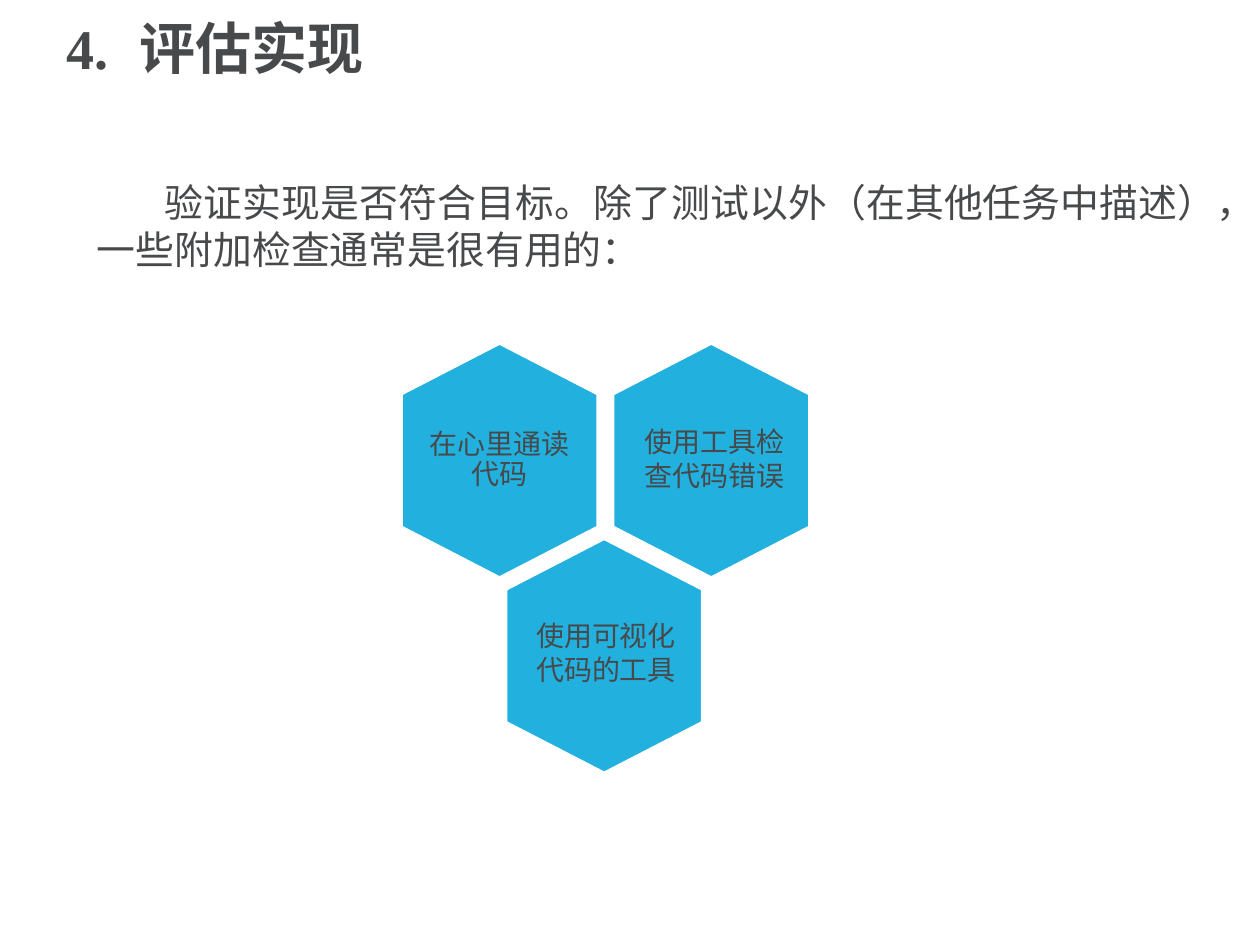
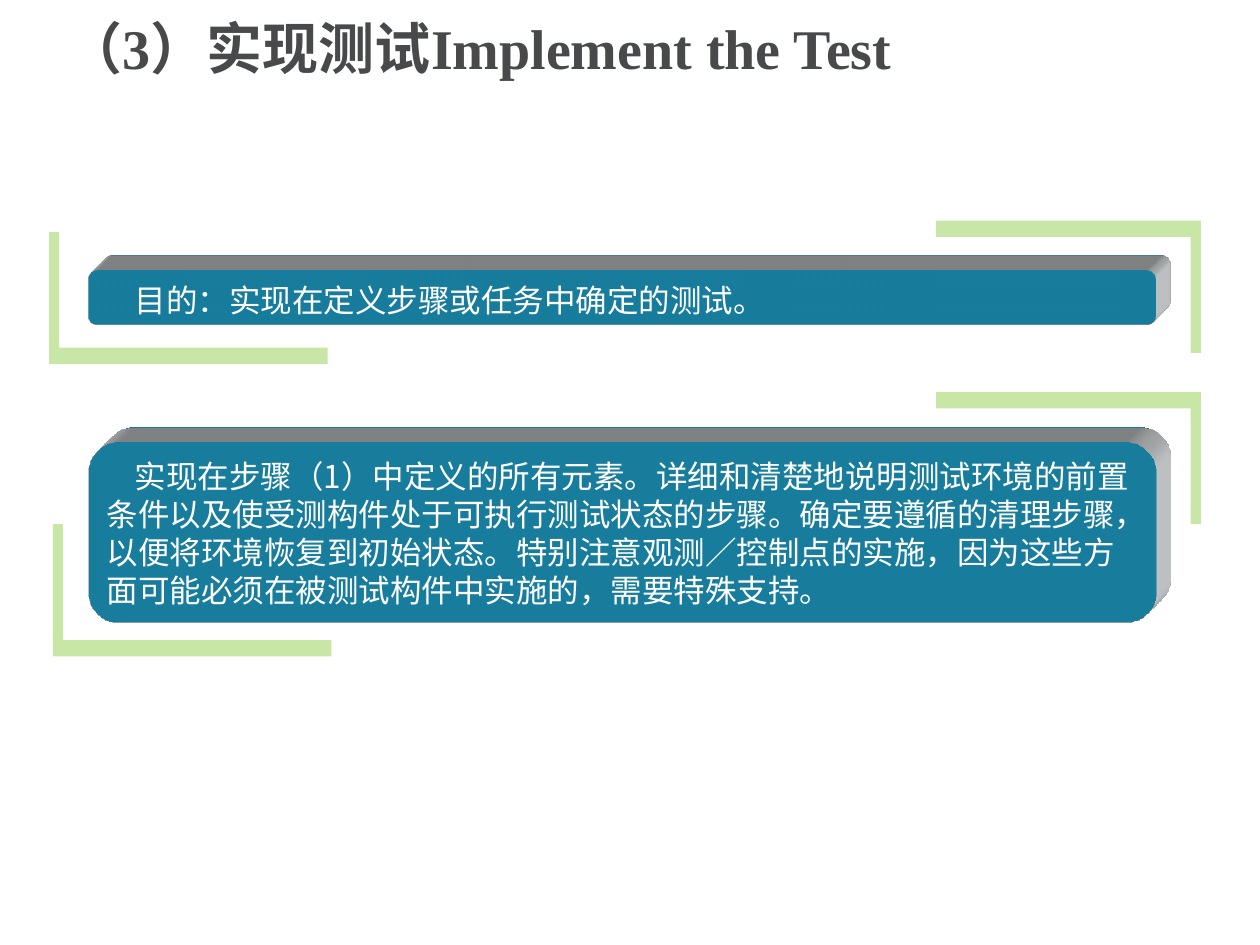
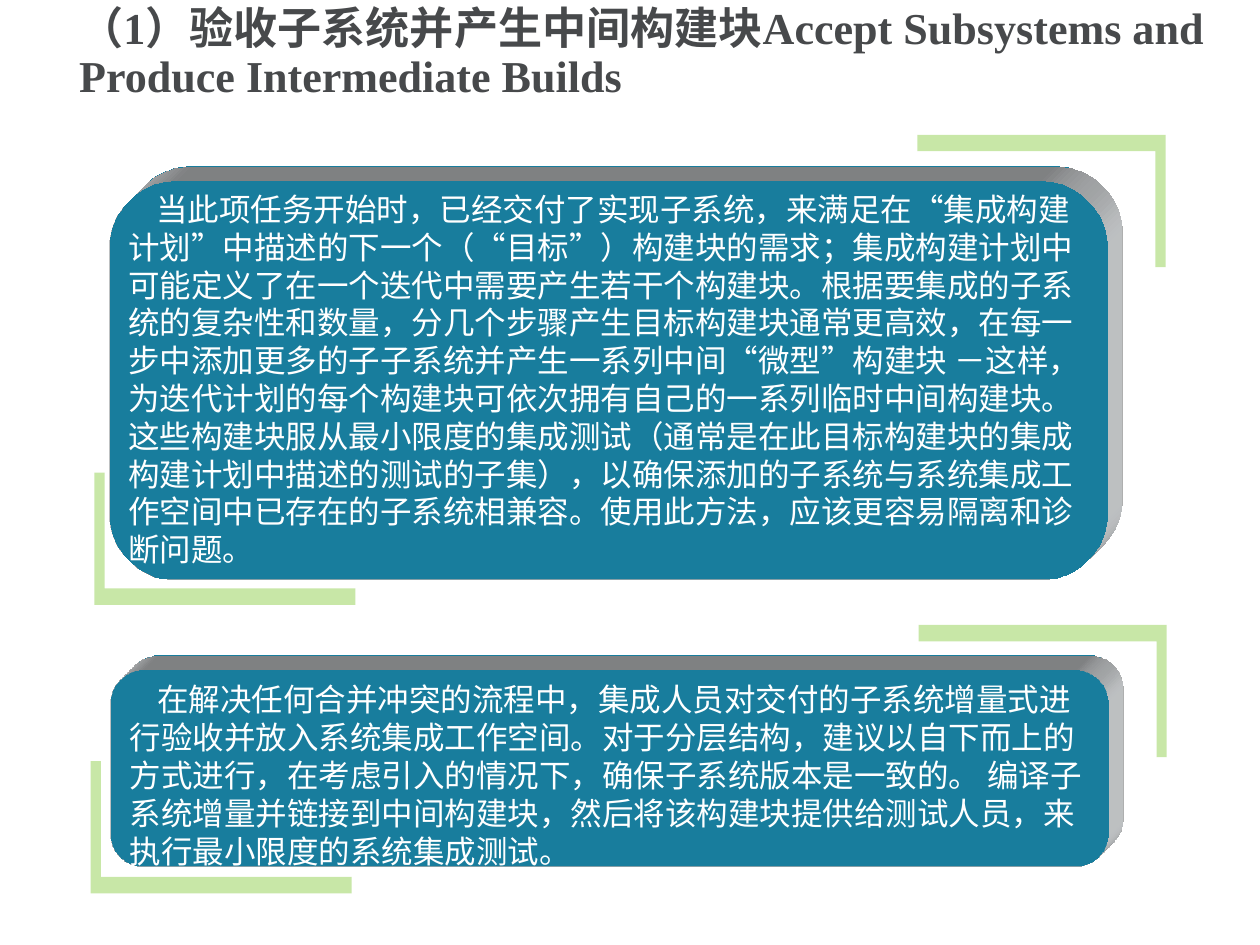
from dataclasses import dataclass

import pptx
import pptx.dml.color
import pptx.enum.shapes
import pptx.enum.text
import pptx.oxml
import pptx.oxml.ns
import pptx.util
from pptx.util import Inches

COLORS = {
    "text": "47494B",
    "white": "FFFFFF",
    "blue": "22B1DE",
    "green": "92D050",
    "extrusion": "D8DBDD",
}
SERIF = "Times New Roman"
SANS = "Noto Sans CJK SC"
ALIGN = pptx.enum.text.PP_ALIGN
ANCHOR = pptx.enum.text.MSO_ANCHOR
NAMESPACE = pptx.oxml.ns.nsdecls("a")


@dataclass
class Area:
    left: float
    top: float
    width: float
    height: float

    def lengths(self) -> tuple:
        return tuple(Inches(v) for v in (self.left, self.top, self.width, self.height))


@dataclass
class TextStyle:
    size: float
    font: str = SERIF
    color: str = "text"
    bold: bool = False
    align: ALIGN | None = None
    anchor: ANCHOR = ANCHOR.TOP
    line_spacing: float | None = None
    first_indent: float = 0
    tab_stop: float = 0
    grow: bool = False


@dataclass
class Panel:
    area: Area
    label: Area
    lower_corner: Area
    upper_corner: Area
    text: str


TITLE = TextStyle(32, bold=True, anchor=ANCHOR.MIDDLE, line_spacing=0.9)
NUMBERED_TITLE = TextStyle(32, bold=True, anchor=ANCHOR.MIDDLE, line_spacing=0.9, tab_stop=0.58)
LONG_TITLE = TextStyle(25.2, bold=True, anchor=ANCHOR.MIDDLE, line_spacing=0.9)
BODY = TextStyle(22.2, align=ALIGN.JUSTIFY, first_indent=0.54)
HEXAGON_TEXT = TextStyle(16, align=ALIGN.CENTER, anchor=ANCHOR.MIDDLE, line_spacing=0.9)
HEXAGON_LABEL = TextStyle(16, align=ALIGN.CENTER, grow=True)
PANEL_TEXT = TextStyle(18, SANS, "white", first_indent=0.22, grow=True)

TITLE_AREA = Area(0.43, 0.06, 9.05, 0.7)
HEXAGON_WIDTH, HEXAGON_HEIGHT, HEXAGON_SHOULDER = 1.55, 1.85, 0.4
CORNER_HEIGHT, CORNER_UPRIGHT, CORNER_FOOT = 1.05, 0.08, 0.13


def rgb(name: str) -> pptx.dml.color.RGBColor:
    return pptx.dml.color.RGBColor.from_string(COLORS[name])


def write(shape, text: str, style: TextStyle) -> None:
    frame = shape.text_frame
    frame.word_wrap = True
    frame.vertical_anchor = style.anchor
    if style.grow:
        frame.auto_size = pptx.enum.text.MSO_AUTO_SIZE.SHAPE_TO_FIT_TEXT
    paragraph = frame.paragraphs[0]
    paragraph.text = text
    properties = paragraph._p.get_or_add_pPr()
    if style.first_indent:
        properties.set("indent", str(Inches(style.first_indent)))
    if style.tab_stop:
        properties.append(pptx.oxml.parse_xml(
            f'<a:tabLst {NAMESPACE}><a:tab pos="{Inches(style.tab_stop)}" algn="l"/></a:tabLst>'))
    paragraph.alignment = style.align
    paragraph.line_spacing = style.line_spacing
    for span in paragraph.runs:
        span.font.name = style.font
        span.font.size = pptx.util.Pt(style.size)
        span.font.bold = style.bold
        span.font.color.rgb = rgb(style.color)
        latin = span._r.rPr.find(pptx.oxml.ns.qn("a:latin"))
        latin.addnext(pptx.oxml.parse_xml(f'<a:ea {NAMESPACE} typeface="{SANS}"/>'))


def add_text(page, area: Area, text: str, style: TextStyle) -> None:
    write(page.shapes.add_textbox(*area.lengths()), text, style)


def add_outline(page, points: list[tuple[float, float]], color: str):
    start, *rest = [(Inches(x), Inches(y)) for x, y in points]
    builder = page.shapes.build_freeform(*start)
    builder.add_line_segments(rest, close=True)
    shape = builder.convert_to_shape()
    shape.shadow.inherit = False
    shape.fill.solid()
    shape.fill.fore_color.rgb = rgb(color)
    shape.line.fill.background()
    return shape


def add_hexagon(page, left: float, top: float):
    right, bottom = left + HEXAGON_WIDTH, top + HEXAGON_HEIGHT
    middle = left + HEXAGON_WIDTH / 2
    upper, lower = top + HEXAGON_SHOULDER, bottom - HEXAGON_SHOULDER
    shape = add_outline(page, [(middle, top), (right, upper), (right, lower),
                               (middle, bottom), (left, lower), (left, upper)], "blue")
    shape.line.color.rgb = rgb("white")
    shape.line.width = pptx.util.Pt(1)
    return shape


def add_corner(page, area: Area, rotation: int = 0) -> None:
    left, top = area.left, area.top
    right, bottom = left + area.width, top + area.height
    inner_x, inner_y = left + CORNER_UPRIGHT, bottom - CORNER_FOOT
    shape = add_outline(page, [(inner_x, inner_y), (inner_x, top), (left, top),
                               (left, bottom), (right, bottom), (right, inner_y)], "green")
    shape.rotation = rotation
    color = shape._element.spPr.find(".//" + pptx.oxml.ns.qn("a:srgbClr"))
    color.append(pptx.oxml.parse_xml(f'<a:alpha {NAMESPACE} val="50000"/>'))


def extrude(shape) -> None:
    """Give the shape a solid depth towards the top right."""
    properties = shape._element.spPr
    properties.append(pptx.oxml.parse_xml(
        f'<a:scene3d {NAMESPACE}><a:camera prst="legacyObliqueTopRight"/>'
        '<a:lightRig rig="legacyFlat3" dir="b"/></a:scene3d>'))
    properties.append(pptx.oxml.parse_xml(
        f'<a:sp3d {NAMESPACE} extrusionH="304800" prstMaterial="legacyMatte">'
        f'<a:extrusionClr><a:srgbClr val="{COLORS["extrusion"]}"/></a:extrusionClr></a:sp3d>'))


def add_panel(page, panel: Panel) -> None:
    add_corner(page, panel.lower_corner)
    add_corner(page, panel.upper_corner, 180)
    plate = page.shapes.add_shape(
        pptx.enum.shapes.MSO_SHAPE.ROUNDED_RECTANGLE, *panel.area.lengths())
    plate.adjustments[0] = 0.167
    plate.shadow.inherit = False
    plate.fill.solid()
    plate.fill.fore_color.rgb = rgb("blue")
    plate.line.fill.background()
    extrude(plate)
    add_text(page, panel.label, panel.text, PANEL_TEXT)


def corner(left: float, top: float, width: float) -> Area:
    return Area(left, top, width, CORNER_HEIGHT)


TEST_PANELS = [
    Panel(Area(0.7, 2.15, 8.47, 0.43), Area(0.75, 2.18, 8.42, 0.4),
          corner(0.39, 1.84, 2.21), corner(7.43, 1.75, 2.1),
          "目的：实现在定义步骤或任务中确定的测试。"),
    Panel(Area(0.7, 3.51, 8.47, 1.43), Area(0.75, 3.58, 8.42, 1.31),
          corner(0.42, 4.16, 2.21), corner(7.43, 3.11, 2.1),
          "实现在步骤（1）中定义的所有元素。详细和清楚地说明测试环境的前置条件以及使受测构件处于"
          "可执行测试状态的步骤。确定要遵循的清理步骤，以便将环境恢复到初始状态。特别注意观测／"
          "控制点的实施，因为这些方面可能必须在被测试构件中实施的，需要特殊支持。"),
]
BUILD_PANELS = [
    Panel(Area(0.87, 1.44, 7.92, 3.16), Area(0.92, 1.46, 7.88, 3.13),
          corner(0.75, 3.75, 2.07), corner(7.28, 1.07, 1.97),
          "当此项任务开始时，已经交付了实现子系统，来满足在“集成构建计划”中描述的下一个（“目标”）"
          "构建块的需求；集成构建计划中可能定义了在一个迭代中需要产生若干个构建块。根据要集成的"
          "子系统的复杂性和数量，分几个步骤产生目标构建块通常更高效，在每一步中添加更多的子子系统"
          "并产生一系列中间“微型”构建块 －这样，为迭代计划的每个构建块可依次拥有自己的一系列临时"
          "中间构建块。这些构建块服从最小限度的集成测试（通常是在此目标构建块的集成构建计划中描述的"
          "测试的子集），以确保添加的子系统与系统集成工作空间中已存在的子系统相兼容。使用此方法，"
          "应该更容易隔离和诊断问题。"),
    Panel(Area(0.88, 5.32, 7.92, 1.56), Area(0.93, 5.35, 7.88, 1.61),
          corner(0.72, 6.04, 2.07), corner(7.29, 4.96, 1.97),
          "在解决任何合并冲突的流程中，集成人员对交付的子系统增量式进行验收并放入系统集成工作空间。"
          "对于分层结构，建议以自下而上的方式进行，在考虑引入的情况下，确保子系统版本是一致的。 "
          "编译子系统增量并链接到中间构建块，然后将该构建块提供给测试人员，来执行最小限度的"
          "系统集成测试。"),
]


def add_page(deck, title: str, style: TextStyle, area: Area = TITLE_AREA):
    page = deck.slides.add_slide(deck.slide_layouts[6])
    add_text(page, area, title, style)
    return page


def build_evaluation(deck) -> None:
    page = add_page(deck, "4.\t评估实现", NUMBERED_TITLE)
    add_text(page, Area(0.67, 1.37, 9.09, 0.89),
             "验证实现是否符合目标。除了测试以外（在其他任务中描述），一些附加检查通常是很有用的：", BODY)
    # Honeycomb of checks
    add_hexagon(page, 4.87, 2.73)
    reading = add_hexagon(page, 3.19, 2.73)
    frame = reading.text_frame
    frame.margin_left = frame.margin_right = Inches(0.22)
    frame.margin_top = frame.margin_bottom = Inches(0.26)
    write(reading, "在心里通读代码", HEXAGON_TEXT)
    add_hexagon(page, 4.02, 4.28)
    add_text(page, Area(4.91, 3.32, 1.52, 0.64), "使用工具检查代码错误", HEXAGON_LABEL)
    add_text(page, Area(4.05, 4.86, 1.52, 0.64), "使用可视化代码的工具", HEXAGON_LABEL)


def build_panels(page, panels: list[Panel]) -> None:
    for panel in panels:
        add_panel(page, panel)


def main() -> None:
    deck = pptx.Presentation()
    deck.slide_width, deck.slide_height = Inches(10), Inches(7.5)
    build_evaluation(deck)
    build_panels(add_page(deck, "（3）实现测试Implement the Test", TITLE), TEST_PANELS)
    build_panels(
        add_page(deck, "（1）验收子系统并产生中间构建块Accept Subsystems and Produce Intermediate Builds",
                 LONG_TITLE, Area(0.53, 0.05, 9.45, 0.76)),
        BUILD_PANELS)
    deck.save("out.pptx")


if __name__ == "__main__":
    main()
